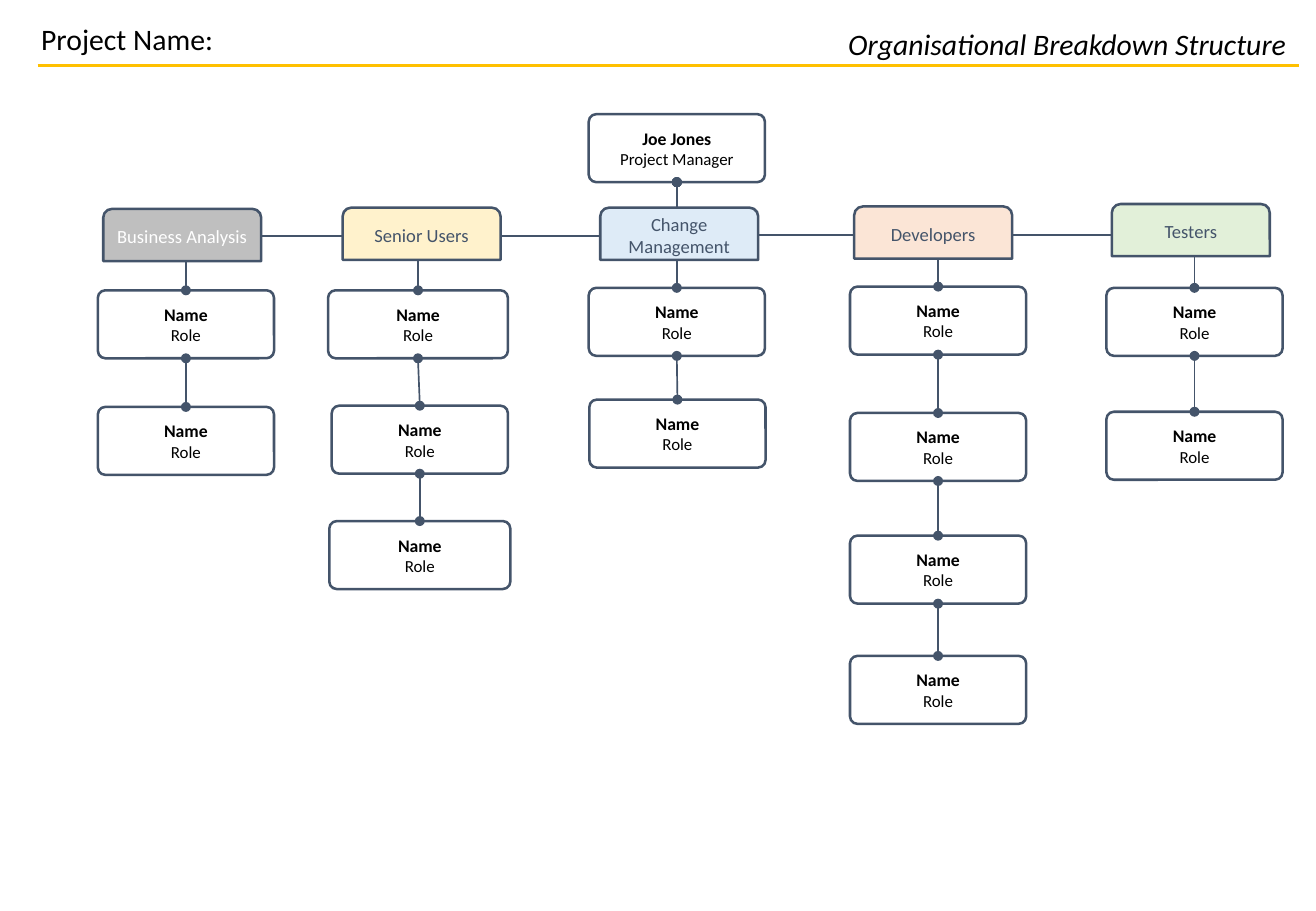
import pptx
import pptx.util
import pptx.dml.color
import pptx.enum.shapes
import pptx.enum.text
import pptx.oxml
import pptx.oxml.ns

Shape = pptx.enum.shapes.MSO_SHAPE
Link = pptx.enum.shapes.MSO_CONNECTOR
Align = pptx.enum.text.PP_ALIGN
Anchor = pptx.enum.text.MSO_ANCHOR
Size = pptx.enum.text.MSO_AUTO_SIZE

theme = {
    "font": "Calibri", "ink": "000000", "line": "44546A", "gold": "FFC000",
    "paper": "FFFFFF", "title": 17.6, "head": 11, "name": 10.5, "role": 10,
    "edge": 1.5, "link": 1,
}
cell = pptx.util.Inches(0.01)
wide, high = 1083, 750
card_w, card_h = 145, 56
head_w, head_h = 130, 43
boss_x, boss_y = 557, 94

teams = [
    ("Business Analysis", "BFBFBF", "FFFFFF", 150, 172,
     [(153, 239, card_w), (153, 335, card_w)]),
    ("Senior Users", "FFF2CC", theme["line"], 347, 171,
     [(344, 239, 148), (345.5, 334, card_w), (345.5, 429, 149)]),
    ("Change Management", "DEEBF7", theme["line"], 559, 171,
     [(557, 237, card_w), (557.5, 329, card_w)]),
    ("Developers", "FBE5D6", theme["line"], 768, 170,
     [(772, top, card_w) for top in (236, 340, 441, 540)]),
    ("Testers", "E2F0D9", theme["line"], 980, 168,
     [(983, 237, card_w), (983, 339, card_w)]),
]

deck = pptx.Presentation()
deck.slide_width, deck.slide_height = wide * cell, high * cell
slide = deck.slides.add_slide(deck.slide_layouts[5])
shapes = slide.shapes


def fill_text(shape, rows, align, form):
    frame = shape.text_frame
    for key, val in form.items():
        setattr(frame, key, val)
    for i, (text, tint, style) in enumerate(rows):
        para = frame.add_paragraph() if i else frame.paragraphs[0]
        para.alignment = align
        run = para.add_run()
        run.text = text
        run.font.color.rgb = pptx.dml.color.RGBColor.from_string(tint)
        for key, val in {"name": theme["font"], **style}.items():
            setattr(run.font, key, val)


def add_line(kind, ends, tint, width, dots=True):
    line = shapes.add_connector(kind, *[int(end * cell) for end in ends])
    line.line.color.rgb = pptx.dml.color.RGBColor.from_string(tint)
    line.line.width = pptx.util.Pt(width)
    props = line._element.spPr
    if dots:
        for tag in ("a:headEnd", "a:tailEnd"):
            tip = pptx.oxml.parse_xml(
                f'<{tag} {pptx.oxml.ns.nsdecls("a")} type="oval"/>')
            line.line._get_or_add_ln().append(tip)
    props.append(pptx.oxml.parse_xml(
        f'<a:effectLst {pptx.oxml.ns.nsdecls("a")}/>'))
    return props


add_line(Link.STRAIGHT, (31, 54, 1069, 54), theme["gold"], theme["edge"], False)

title = shapes.title
label = shapes.add_textbox(24 * cell, 12 * cell, 478 * cell, 40 * cell)
place = {"left": 613, "top": 16, "width": 456, "height": 40}
for key, val in place.items():
    setattr(title, key, val * cell)
top_form = {"word_wrap": True, "auto_size": Size.NONE,
            "vertical_anchor": Anchor.TOP}
big = {"size": pptx.util.Pt(theme["title"])}
fill_text(label, [("Project Name:", theme["ink"], big)], Align.LEFT, top_form)
fill_text(title, [("Organisational Breakdown Structure", theme["ink"],
                   {**big, "italic": True})], Align.RIGHT, top_form)

boxes = [("Joe Jones", "Project Manager", boss_x, boss_y, card_w)]
links = []
heads = []
for name, fill, ink, mid, top, cards in teams:
    boxes += [("Name", "Role", *card) for card in cards]
    links.append((boss_x, boss_y + card_h, cards[0][0], cards[0][1]))
    links += [(a[0], a[1] + card_h, b[0], b[1])
              for a, b in zip(cards, cards[1:])]
    heads.append((Shape.ROUND_2_SAME_RECTANGLE, mid, top, head_w, head_h, fill,
                  [(name, ink, {"size": pptx.util.Pt(theme["head"])})]))

nodes = [
    (Shape.ROUNDED_RECTANGLE, mid, top, span, card_h, theme["paper"],
     [(name, theme["ink"], {"size": pptx.util.Pt(theme["name"]), "bold": True}),
      (role, theme["ink"], {"size": pptx.util.Pt(theme["role"])})])
    for name, role, mid, top, span in boxes
]

box_form = {"word_wrap": True, "vertical_anchor": Anchor.MIDDLE}
for side in ("left", "right", "top", "bottom"):
    box_form["margin_" + side] = 4 * cell

for group in (nodes, heads):
    for kind, mid, top, span, tall, fill, rows in group:
        box = shapes.add_shape(kind, int((mid - span / 2) * cell), top * cell,
                               span * cell, tall * cell)
        box.shadow.inherit = False
        if kind == Shape.ROUNDED_RECTANGLE:
            box.adjustments[0] = 0.11
        box.fill.solid()
        box.fill.fore_color.rgb = pptx.dml.color.RGBColor.from_string(fill)
        box.line.color.rgb = pptx.dml.color.RGBColor.from_string(theme["line"])
        box.line.width = pptx.util.Pt(theme["edge"])
        fill_text(box, rows, Align.CENTER, box_form)
    if group is nodes:
        for x1, y1, x2, y2 in links:
            run, drop = x2 - x1, y2 - y1
            if abs(run) < 5:
                add_line(Link.STRAIGHT, (x1, y1, x2, y2),
                         theme["line"], theme["link"])
                continue
            mid, row = (x1 + x2) / 2, (y1 + y2) / 2
            half = drop / 2 if run > 0 else -drop / 2
            rise = abs(run) / 2
            props = add_line(Link.ELBOW,
                             (mid + half, row - rise, mid - half, row + rise),
                             theme["line"], theme["link"])
            turn = 270 if run > 0 else 90
            props.find(pptx.oxml.ns.qn("a:xfrm")).set("rot", str(turn * 60000))

deck.save("out.pptx")
